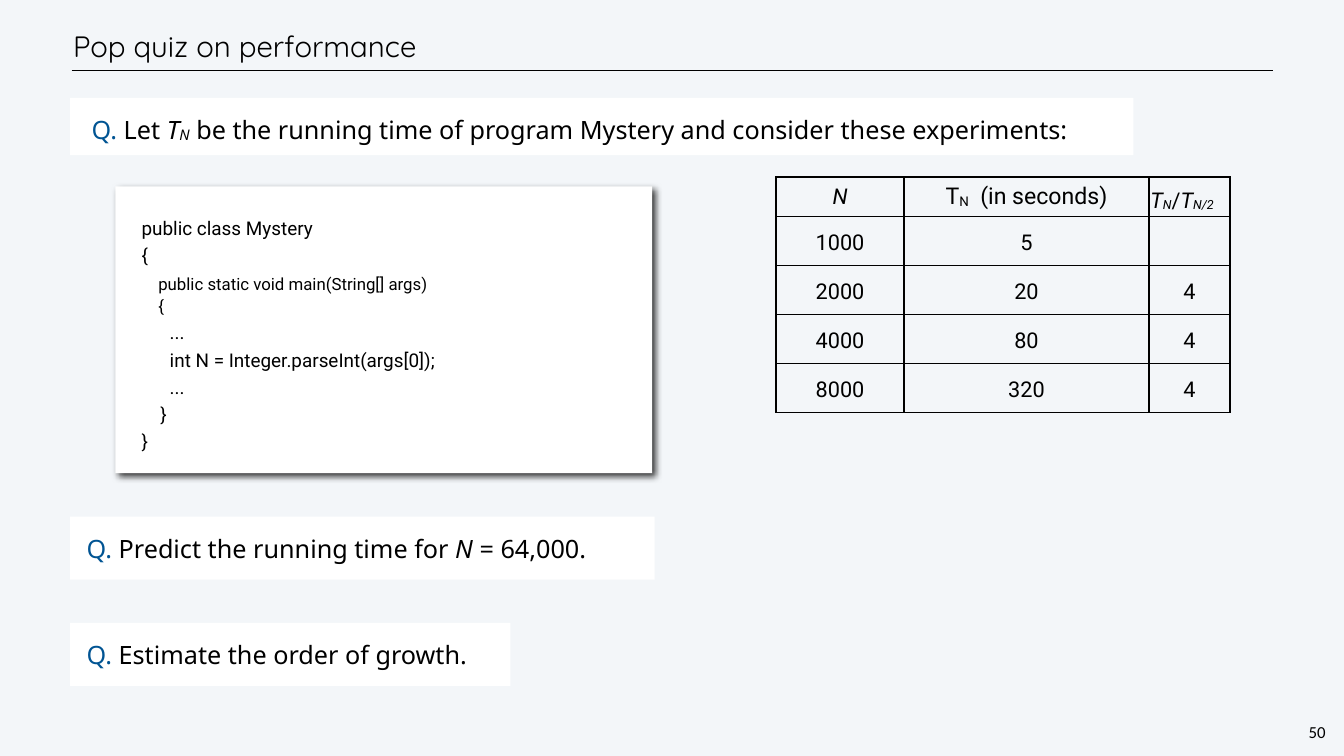
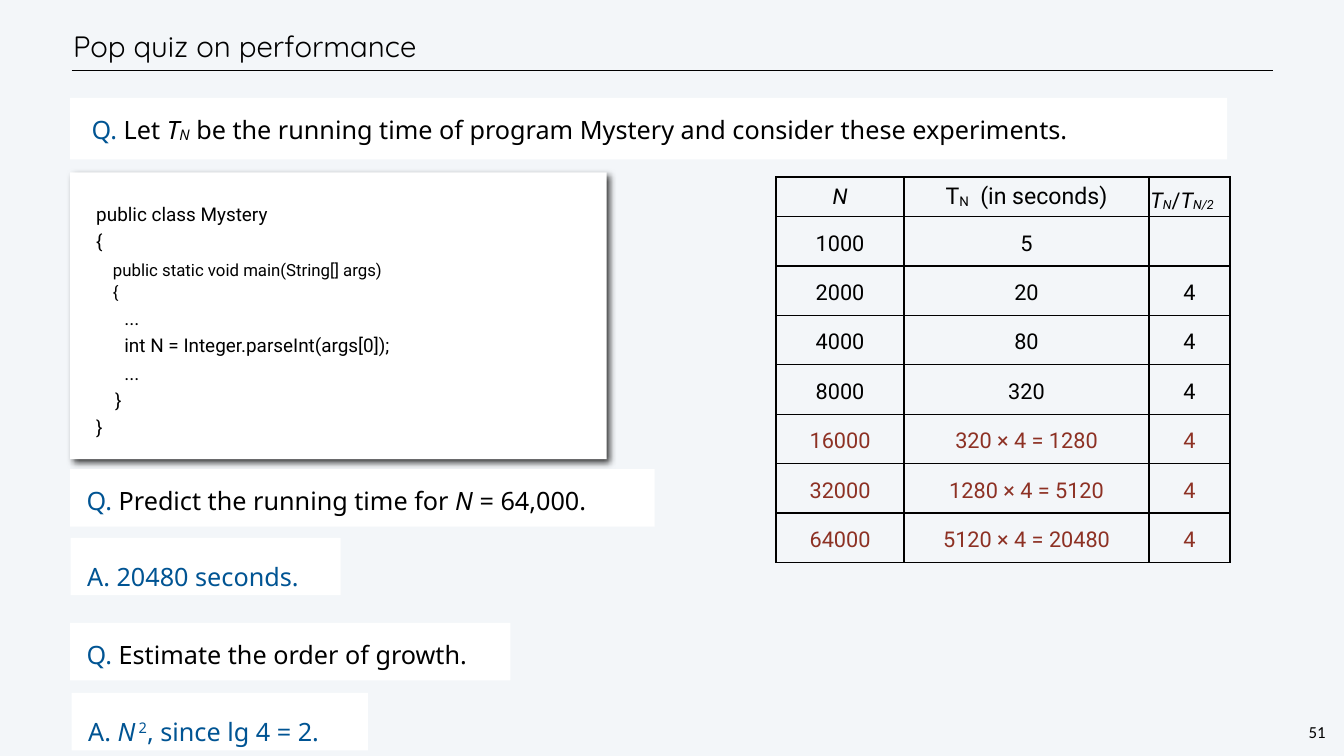
from lxml.etree import SubElement
from pptx import Presentation
from pptx.dml.color import RGBColor
from pptx.enum.shapes import MSO_CONNECTOR, MSO_SHAPE
from pptx.enum.text import MSO_ANCHOR, MSO_AUTO_SIZE, PP_ALIGN
from pptx.oxml.ns import qn
from pptx.util import Pt

PX = 9144  # EMU per px, 100 px to the inch
COLORS = {
    "background": "F3F6F9",
    "panel": "FFFFFF",
    "text": "000000",
    "accent": "005493",
    "prediction": "8D3124",
}
ITALIC = {"italic": True}
ACCENT = {"color": "accent"}
SUBSCRIPT = {"italic": True, "baseline": -6000}

# Code lines with their text size
CODE_LINES = [
    ("public class Mystery", 27),
    ("{", 27),
    ("    public static void main(String[] args)", 24),
    ("    {", 24),
    ("      ...", 27),
    ("      int N = Integer.parseInt(args[0]);", 27),
    ("      ...", 27),
    ("    }", 27),
    ("}", 27),
]
# Header cells: text size, line spacing, runs
HEADER = [
    (31, Pt(37), [("N", ITALIC)]),
    (33, Pt(39), [("T", {}), ("N", {"baseline": -6000}), ("  (in seconds)", {})]),
    (31, Pt(49), [("T", ITALIC), ("N", SUBSCRIPT), ("/", {}),
                  ("T", ITALIC), ("N/2", SUBSCRIPT)]),
]
MEASURED = [("1000", "5", ""), ("2000", "20", "4"),
            ("4000", "80", "4"), ("8000", "320", "4")]
PREDICTED = [("16000", "320 × 4 = 1280", "4"),
             ("32000", "1280 × 4 = 5120", "4"),
             ("64000", "5120 × 4 = 20480", "4")]
COLUMN_WIDTHS = [254, 486, 161]

PREDICT = [("Q. ", ACCENT), ("Predict the running time for ", {}),
           ("N", ITALIC), (" = 64,000.", {})]
GROWTH = [("Q. ", ACCENT), ("Estimate the order of growth.", {})]
TIME_ANSWER = [("A. 20480 seconds.", ACCENT)]
GROWTH_ANSWER = [
    ("A. ", ACCENT),
    ("N", {"color": "accent", "italic": True, "spacing": 470}),
    ("2", {"color": "accent", "baseline": 32000}),
    (", since lg 4 = 2.", ACCENT),
]

# Boxes are left, top, width, height; panels add line spacing and runs
SLIDES = [
    {
        "number": "50", "intro_box": (139, 194, 2110, 114), "intro_end": ":",
        "code_box": (229, 370, 1065, 569),
        "rows": MEASURED, "row_height": 97,
        "panels": [((139, 1025, 1160, 125), 43, PREDICT),
                   ((139, 1236, 874, 125), 43, GROWTH)],
    },
    {
        "number": "51", "intro_box": (139, 194, 2296, 122), "intro_end": ".",
        "code_box": (139, 342, 1065, 569),
        "rows": MEASURED + PREDICTED, "row_height": 98,
        "panels": [((139, 931, 1160, 114), 43, PREDICT),
                   ((140, 1067, 536, 114), 53, TIME_ANSWER),
                   ((139, 1236, 874, 114), 43, GROWTH),
                   ((142, 1375, 588, 114), 53, GROWTH_ANSWER)],
    },
]


def write(paragraph, runs, size, font_name, line_spacing, align=PP_ALIGN.LEFT):
    """Fill a paragraph with (text, style) runs."""
    paragraph.alignment = align
    paragraph.line_spacing = line_spacing
    paragraph.space_before = Pt(0)
    for text, style in runs:
        run = paragraph.add_run()
        run.text = text
        font = run.font
        font.size, font.name = Pt(size), font_name
        font.bold, font.italic = False, style.get("italic", False)
        font.color.rgb = RGBColor.from_string(COLORS[style.get("color", "text")])
        properties = run._r.get_or_add_rPr()
        if "baseline" in style:
            properties.set("baseline", str(style["baseline"]))
        if "spacing" in style:
            properties.set("spc", str(style["spacing"]))


def set_up(shape, box, inset, fill=None, anchor=MSO_ANCHOR.TOP):
    """Place a text shape, style its frame and return the frame."""
    shape.left, shape.top, shape.width, shape.height = [value * PX for value in box]
    if fill:
        shape.fill.solid()
        shape.fill.fore_color.rgb = RGBColor.from_string(COLORS[fill])
    shape.line.fill.background()
    frame = shape.text_frame
    frame.margin_left = frame.margin_right = inset * PX
    frame.margin_top = frame.margin_bottom = inset * PX
    frame.vertical_anchor = anchor
    frame.auto_size = MSO_AUTO_SIZE.NONE
    frame.word_wrap = True
    return frame


presentation = Presentation()
presentation.slide_width, presentation.slide_height = 2667 * PX, 1500 * PX
background = presentation.slide_master.background.fill
background.solid()
background.fore_color.rgb = RGBColor.from_string(COLORS["background"])

for content in SLIDES:
    slide = presentation.slides.add_slide(presentation.slide_layouts[1])
    shapes = slide.shapes

    # Title, rule and slide number
    frame = set_up(shapes.title, (139, 42, 2262, 99), 6, anchor=MSO_ANCHOR.MIDDLE)
    write(frame.paragraphs[0], [("Pop quiz on performance", {})],
          42, "Quicksand", Pt(50))
    rule = shapes.add_connector(MSO_CONNECTOR.STRAIGHT,
                                142 * PX, 140 * PX, 2527 * PX, 140 * PX)
    rule.line.width = Pt(1)
    rule.line.color.rgb = RGBColor.from_string(COLORS["text"])
    SubElement(rule._element.spPr, qn("a:effectLst"))
    number = shapes.add_textbox(0, 0, 0, 0)
    frame = set_up(number, (2592, 1429, 43, 47), 4)
    frame.word_wrap = False
    write(frame.paragraphs[0], [(content["number"], {})],
          24, "Calibri", Pt(28), PP_ALIGN.CENTER)

    # Opening question
    frame = set_up(slide.placeholders[1], content["intro_box"], 33, "panel")
    paragraph = frame.paragraphs[0]
    properties = paragraph._p.get_or_add_pPr()
    properties.set("marL", "0")
    properties.set("indent", str(10 * PX))
    SubElement(properties, qn("a:buNone"))
    intro = " be the running time of program Mystery and consider these experiments"
    write(paragraph, [("Q. ", ACCENT), ("Let ", {}), ("T", ITALIC), ("N", SUBSCRIPT),
                      (intro + content["intro_end"], {})], 36, "Noto Sans", Pt(43))

    # Further questions and answers
    for box, spacing, runs in content["panels"]:
        panel = shapes.add_shape(MSO_SHAPE.RECTANGLE, 0, 0, 0, 0)
        panel.shadow.inherit = False
        frame = set_up(panel, box, 33, "panel")
        write(frame.paragraphs[0], runs, 36, "Noto Sans", Pt(spacing))

    # Program listing
    listing = shapes.add_shape(MSO_SHAPE.RECTANGLE, 0, 0, 0, 0)
    listing.shadow.inherit = False
    frame = set_up(listing, content["code_box"], 51, "panel")
    effects = listing._element.spPr.find(qn("a:effectLst"))
    shadow = SubElement(effects, qn("a:outerShdw"), blurRad=str(Pt(10)),
                        dist=str(Pt(6)), dir="2700000", rotWithShape="0")
    shadow_color = SubElement(shadow, qn("a:srgbClr"), val=COLORS["text"])
    SubElement(shadow_color, qn("a:alpha"), val="75000")
    for index, (line, size) in enumerate(CODE_LINES):
        paragraph = frame.add_paragraph() if index else frame.paragraphs[0]
        paragraph._p.get_or_add_pPr().set("marL", str(PX))
        write(paragraph, [(line, {})], size, "Roboto",
              1.1 if line == "    {" else Pt(39))

    # Experiment table
    rows, row_height = content["rows"], content["row_height"]
    table = shapes.add_table(len(rows) + 1, len(HEADER), 1540 * PX, 351 * PX,
                             sum(COLUMN_WIDTHS) * PX,
                             (79 + len(rows) * row_height) * PX).table
    table.first_row = table.horz_banding = False
    for column, width in zip(table.columns, COLUMN_WIDTHS):
        column.width = width * PX
    for index, row in enumerate(table.rows):
        row.height = (row_height if index else 79) * PX
        for position, cell in enumerate(row.cells):
            margin = (4 if index else 3) * PX
            cell.margin_left = cell.margin_right = margin
            cell.margin_top = cell.margin_bottom = margin
            cell.vertical_anchor = MSO_ANCHOR.MIDDLE
            properties = cell._tc.get_or_add_tcPr()
            for side in ("lnL", "lnR", "lnT", "lnB"):
                border = SubElement(properties, qn("a:" + side), w=str(Pt(2)))
                border_fill = SubElement(border, qn("a:solidFill"))
                SubElement(border_fill, qn("a:srgbClr"), val=COLORS["text"])
            cell.fill.background()
            align = PP_ALIGN.CENTER
            if index == 0:
                size, spacing, runs = HEADER[position]
                if position == 2:
                    align = PP_ALIGN.LEFT
            else:
                size, spacing = 31, Pt(43)
                values = rows[index - 1]
                color = "prediction" if values in PREDICTED else "text"
                runs = [(values[position], {"color": color})] if values[position] else []
            write(cell.text_frame.paragraphs[0], runs, size, "Roboto", spacing, align)

presentation.save("out.pptx")
